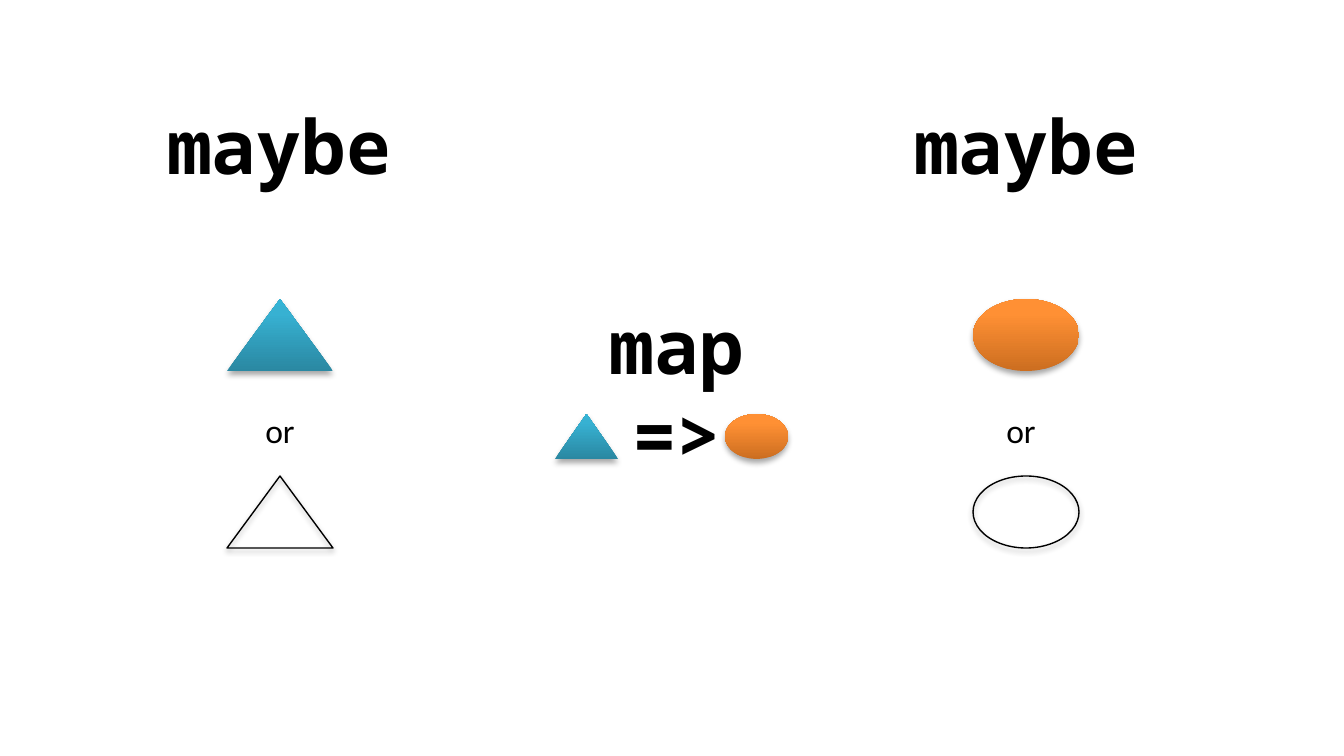
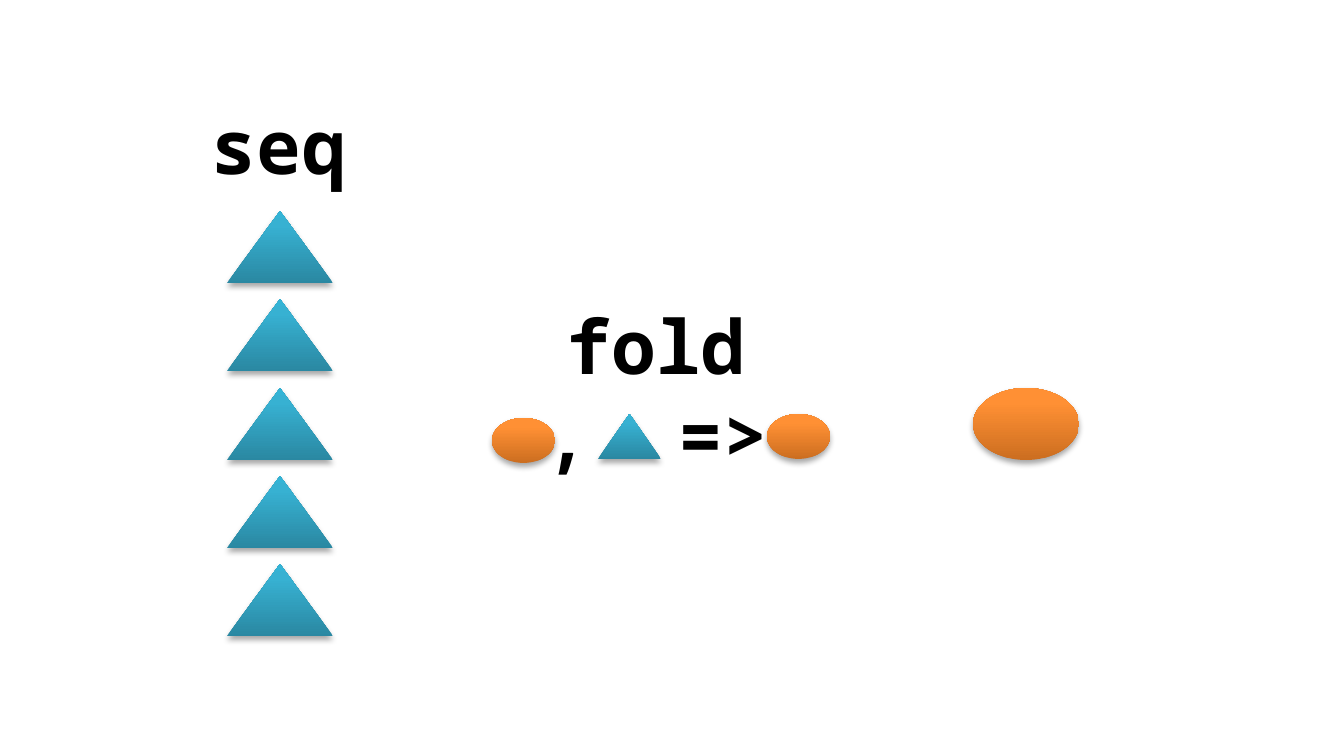
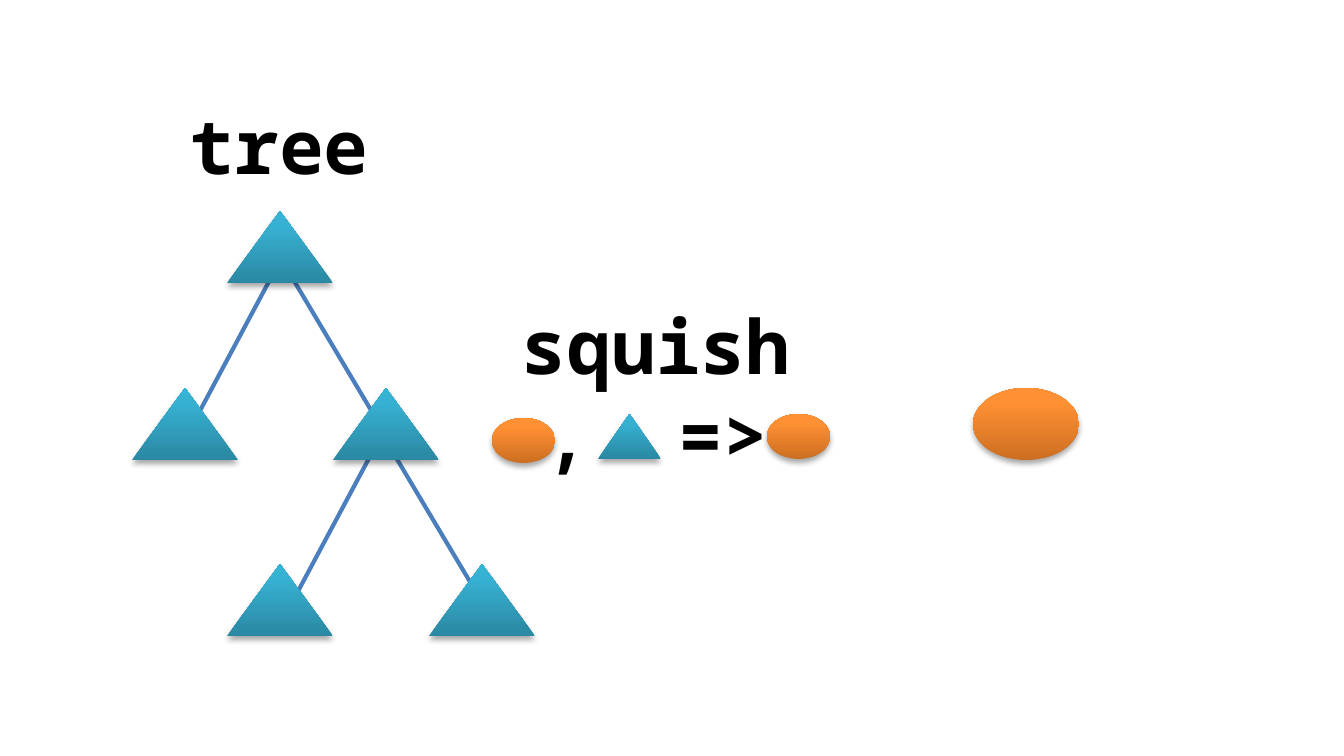
import copy

import pptx
import pptx.dml.color
import pptx.enum.shapes
import pptx.enum.text
import pptx.oxml.ns
import pptx.util
from lxml import etree

SLIDE_WIDTH, SLIDE_HEIGHT = 1344, 756
EMU_PER_PX = pptx.util.Inches(10) / SLIDE_WIDTH
COLORS = {
    "text": "000000",
    "outline": "000000",
    "shadow": "000000",
    "branch": "4B7EBC",
    "blue_dark": "2A88A2",
    "blue_mid": "37B1D2",
    "blue_light": "34B4D6",
    "orange_dark": "CC6E20",
    "orange_mid": "FF9034",
    "orange_light": "FF9136",
}
CODE_FONT, CODE_SIZE = "Noto Sans Mono", 40
CODE_ADVANCE = 24  # width of one code character in points
PROSE_FONT, PROSE_SIZE = "Calibri", 18

TRIANGLE = pptx.enum.shapes.MSO_SHAPE.ISOSCELES_TRIANGLE
ELLIPSE = pptx.enum.shapes.MSO_SHAPE.OVAL
HUES = {TRIANGLE: "blue", ELLIPSE: "orange"}
BIG, SMALL = (106, 72), (63, 45)

NAME_LEFT, INPUT_LEFT, OUTPUT_LEFT = 126, 227, 973
ROW_TOPS = [211 + round(row * 88.3) for row in range(5)]
SIGNATURE_TOP = 414


def px(length):
    return pptx.util.Emu(round(length * EMU_PER_PX))


def rgb(name):
    return pptx.dml.color.RGBColor.from_string(COLORS[name])


def add_text(page, left, top, width, height, lines, font=CODE_FONT, size=CODE_SIZE):
    """Add centred lines; each line is a list of (text, extra spacing in points)."""
    box = page.shapes.add_textbox(px(left), px(top), px(width), px(height))
    frame = box.text_frame
    frame.word_wrap = True
    frame.auto_size = pptx.enum.text.MSO_AUTO_SIZE.SHAPE_TO_FIT_TEXT
    for number, line in enumerate(lines):
        para = frame.add_paragraph() if number else frame.paragraphs[0]
        para.alignment = pptx.enum.text.PP_ALIGN.CENTER
        para.font.name = font
        para.font.size = pptx.util.Pt(size)
        para.font.bold = font == CODE_FONT
        para.font.color.rgb = rgb("text")
        for text, spacing in line:
            span = para.add_run()
            span.text = text
            if spacing:
                span._r.get_or_add_rPr().set("spc", str(spacing * 100))


def add_type_name(page, left, name):
    add_text(page, left, 93, 306, 103, [[(name, 0)]])


def add_operation(page, left, name, signature):
    add_text(page, left, 293, 306, 195, [[(name, 0)], signature])


def fill_gradient(shape, hue):
    shape.fill.gradient()
    shape.fill.gradient_angle = 90
    stop_list = shape._element.spPr.find(".//" + pptx.oxml.ns.qn("a:gsLst"))
    stop_list.append(copy.deepcopy(stop_list[0]))
    shades = (("dark", 0), ("mid", 0.8), ("light", 1))
    for stop, (shade, position) in zip(shape.fill.gradient_stops, shades):
        stop.color.rgb = rgb(f"{hue}_{shade}")
        stop.position = position


def add_shadow(shape):
    qn = pptx.oxml.ns.qn
    shape.shadow.inherit = False
    effects = shape._element.spPr.find(qn("a:effectLst"))
    shadow = etree.SubElement(effects, qn("a:outerShdw"), blurRad="40000",
                              dist="23000", dir="5400000", rotWithShape="0")
    color = etree.SubElement(shadow, qn("a:srgbClr"), val=COLORS["shadow"])
    etree.SubElement(color, qn("a:alpha"), val="35000")


def add_value(page, kind, left, top, size=BIG, present=True):
    """Add a value: filled when present, a bare outline when missing."""
    width, height = size
    shape = page.shapes.add_shape(kind, px(left), px(top), px(width), px(height))
    if present:
        fill_gradient(shape, HUES[kind])
        shape.line.fill.background()
    else:
        shape.fill.background()
        shape.line.color.rgb = rgb("outline")
        shape.line.width = pptx.util.Pt(0.75)
    add_shadow(shape)


def add_branch(page, left, top, across, down):
    branch = page.shapes.add_connector(
        pptx.enum.shapes.MSO_CONNECTOR.STRAIGHT,
        px(left), px(top), px(left + across), px(top + down))
    branch.line.color.rgb = rgb("branch")
    branch.line.width = pptx.util.Pt(2.25)
    etree.SubElement(branch._element.spPr, pptx.oxml.ns.qn("a:effectLst"))


def add_maybe(page, kind, name_left, value_left, or_left):
    add_type_name(page, name_left, "maybe")
    add_value(page, kind, value_left, ROW_TOPS[1])
    add_value(page, kind, value_left, ROW_TOPS[3], present=False)
    add_text(page, or_left, 403, 106, 54, [[("or", 0)]], PROSE_FONT, PROSE_SIZE)


def add_reduction(page, name):
    """Add an operation from (ellipse, triangle) to ellipse, and its result."""
    add_operation(page, 503, name, [(",", 0), (" ", CODE_ADVANCE), ("=>", 0)])
    add_value(page, ELLIPSE, OUTPUT_LEFT, ROW_TOPS[2])
    add_value(page, TRIANGLE, 598, SIGNATURE_TOP, SMALL)
    add_value(page, ELLIPSE, 767, SIGNATURE_TOP, SMALL)
    add_value(page, ELLIPSE, 492, SIGNATURE_TOP + 4, SMALL)


def build_map(page):
    add_operation(page, 524, "map", [("=>", 0)])
    add_maybe(page, TRIANGLE, NAME_LEFT, INPUT_LEFT, 227)
    add_maybe(page, ELLIPSE, 873, OUTPUT_LEFT, 968)
    add_value(page, TRIANGLE, 555, SIGNATURE_TOP, SMALL)
    add_value(page, ELLIPSE, 725, SIGNATURE_TOP, SMALL)


def build_fold(page):
    add_type_name(page, NAME_LEFT, "seq")
    for top in ROW_TOPS:
        add_value(page, TRIANGLE, INPUT_LEFT, top)
    add_reduction(page, "fold")


def build_squish(page):
    for left, top in ((382, 434), (281, 259)):
        for across in (106, -95):
            add_branch(page, left, top, across, 178)
    add_type_name(page, NAME_LEFT, "tree")
    nodes = ((INPUT_LEFT, 0), (132, 2), (INPUT_LEFT, 4), (333, 2), (429, 4))
    for left, row in nodes:
        add_value(page, TRIANGLE, left, ROW_TOPS[row])
    add_reduction(page, "squish")


def main():
    deck = pptx.Presentation()
    deck.slide_width, deck.slide_height = px(SLIDE_WIDTH), px(SLIDE_HEIGHT)
    for build in (build_map, build_fold, build_squish):
        build(deck.slides.add_slide(deck.slide_layouts[6]))
    deck.save("out.pptx")


if __name__ == "__main__":
    main()
